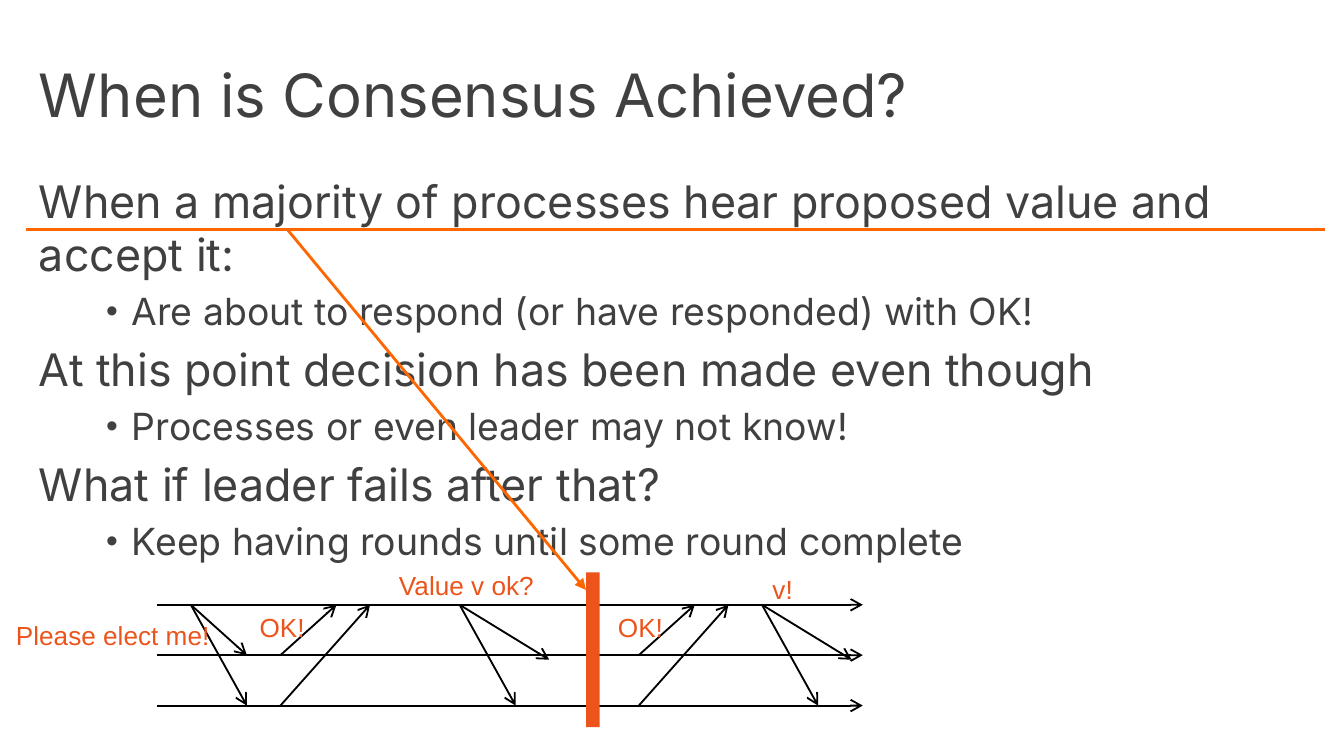
from dataclasses import dataclass

from lxml import etree
from pptx import Presentation
from pptx.dml.color import RGBColor
from pptx.enum.shapes import MSO_CONNECTOR, MSO_SHAPE
from pptx.enum.text import MSO_ANCHOR, MSO_AUTO_SIZE, PP_ALIGN
from pptx.oxml.ns import qn
from pptx.util import Inches, Pt

STRAIGHT = MSO_CONNECTOR.STRAIGHT
RECTANGLE = MSO_SHAPE.RECTANGLE
MIDDLE, TOP = MSO_ANCHOR.MIDDLE, MSO_ANCHOR.TOP
NO_FIT = MSO_AUTO_SIZE.NONE
LEFT = PP_ALIGN.LEFT


@dataclass(frozen=True)
class Theme:
    ink: str = "404040"
    label: str = "EC541B"
    rule: str = "FF6600"
    timeline: str = "000000"
    heading_font: str = "Inter"
    label_font: str = "Arial"
    title_size: int = 32
    point_size: int = 24
    detail_size: int = 20
    label_size: int = 14


THEME = Theme()
WIDTH = 10
HEIGHT = WIDTH * 9 / 16
TITLE = "When is Consensus Achieved?"
POINTS = [
    ("When a majority of processes hear proposed value and accept it: ",
     "Are about to respond (or have responded) with OK!"),
    ("At this point decision has been made even though ",
     "Processes or even leader may not know!"),
    ("What if leader fails after that?",
     "Keep having rounds until some round complete"),
]
COLUMNS, ROWS = 63, 2
MESSAGES = [
    (3, 0, 8, 1), (3, 0, 8, 2), (11, 2, 19, 0), (11, 1, 16, 0),
    (27, 0, 32, 2), (27, 0, 35, 1.09),
    (43, 2, 51, 0), (43, 1, 48, 0),
    (54, 0, 59, 2), (54, 0, 62, 1.09),
]
LABELS = [
    ("Please elect me!", -13.8, 0.16, 19.8),
    ("OK!", 7.95, 0, 6.45),
    ("Value v ok?", 20.4, -0.83, 14.5),
    ("OK!", 39.95, 0, 6.45),
    ("v!", 53.75, -0.75, 4.2),
]


def place(shape, left, top, width, height):
    shape.left, shape.top = Inches(left), Inches(top)
    shape.width, shape.height = Inches(width), Inches(height)


def write(paragraph, text, *, size, color, font):
    run = paragraph.add_run()
    run.text = text
    run.font.size = Pt(size)
    run.font.name = font
    run.font.color.rgb = RGBColor.from_string(color)


def indent(paragraph, margin, hanging, bullet=None):
    properties = paragraph._p.get_or_add_pPr()
    properties.set("marL", str(Inches(margin)))
    properties.set("indent", str(Inches(hanging)))
    if bullet:
        etree.SubElement(properties, qn("a:buSzPct"), val="90000")
        etree.SubElement(properties, qn("a:buFont"), typeface="Arial")
        etree.SubElement(properties, qn("a:buChar"), char=bullet)
    else:
        etree.SubElement(properties, qn("a:buNone"))


def draw_line(slide, start, end, *, color, weight, head=None):
    line = slide.shapes.add_connector(
        STRAIGHT, *(Inches(value) for value in (*start, *end)))
    line.line.color.rgb = RGBColor.from_string(color)
    line.line.width = Pt(weight)
    if head:
        etree.SubElement(line.line._get_or_add_ln(), qn("a:tailEnd"), type=head)
    etree.SubElement(line._element.spPr, qn("a:effectLst"))


def add_title(slide, box):
    title = slide.shapes.title
    place(title, *box)
    frame = title.text_frame
    frame.auto_size = NO_FIT
    frame.vertical_anchor = MIDDLE
    heading = frame.paragraphs[0]
    heading.alignment = LEFT
    write(heading, TITLE, size=THEME.title_size, color=THEME.ink,
          font=THEME.heading_font)


def add_points(slide, box):
    body = slide.placeholders[1]
    place(body, *box)
    frame = body.text_frame
    frame.auto_size = NO_FIT
    frame.vertical_anchor = TOP
    for number, (point, detail) in enumerate(POINTS):
        claim = frame.add_paragraph() if number else frame.paragraphs[0]
        indent(claim, 0, 0)
        write(claim, point, size=THEME.point_size, color=THEME.ink,
              font=THEME.heading_font)
        support = frame.add_paragraph()
        support.level = 1
        indent(support, 0.69, -0.19, "•")
        write(support, detail, size=THEME.detail_size, color=THEME.ink,
              font=THEME.heading_font)


def add_timeline(slide, box):
    left, top, width, height = box
    column, row = width / COLUMNS, height / ROWS

    def at(across, down):
        return left + across * column, top + down * row

    processes = [(0, level, COLUMNS, level) for level in range(ROWS + 1)]
    for x1, y1, x2, y2 in processes + MESSAGES:
        draw_line(slide, at(x1, y1), at(x2, y2), color=THEME.timeline,
                  weight=1, head="arrow")
    for text, across, down, span in LABELS:
        label = slide.shapes.add_textbox(0, 0, 0, 0)
        place(label, *at(across, down), span * column, 0.34)
        label.text_frame.word_wrap = False
        write(label.text_frame.paragraphs[0], text, size=THEME.label_size,
              color=THEME.label, font=THEME.label_font)
    decision = slide.shapes.add_shape(RECTANGLE, 0, 0, 0, 0)
    place(decision, *at(38.3, -0.64), 1.2 * column, 3.07 * row)
    decision.shadow.inherit = False
    decision.fill.solid()
    decision.fill.fore_color.rgb = RGBColor.from_string(THEME.label)
    decision.line.fill.background()


def add_decision_pointer(slide, box):
    left, top, width, height = box
    draw_line(slide, (left, top), (left + width, top),
              color=THEME.rule, weight=1.5)
    draw_line(slide, (left + 1.95, top), (left + 4.17, top + height),
              color=THEME.rule, weight=1.5, head="triangle")


def main():
    deck = Presentation()
    deck.slide_width, deck.slide_height = Inches(WIDTH), Inches(HEIGHT)
    slide = deck.slides.add_slide(deck.slide_layouts[1])
    margin, content = 0.19, 9.68
    add_title(slide, (margin, 0.23, content, 0.94))
    add_points(slide, (margin, 1.24, content, 2.91))
    add_timeline(slide, (1.17, 4.5, 5.25, 0.75))
    add_decision_pointer(slide, (margin, 1.71, 9.67, 2.68))
    deck.save("out.pptx")


main()
